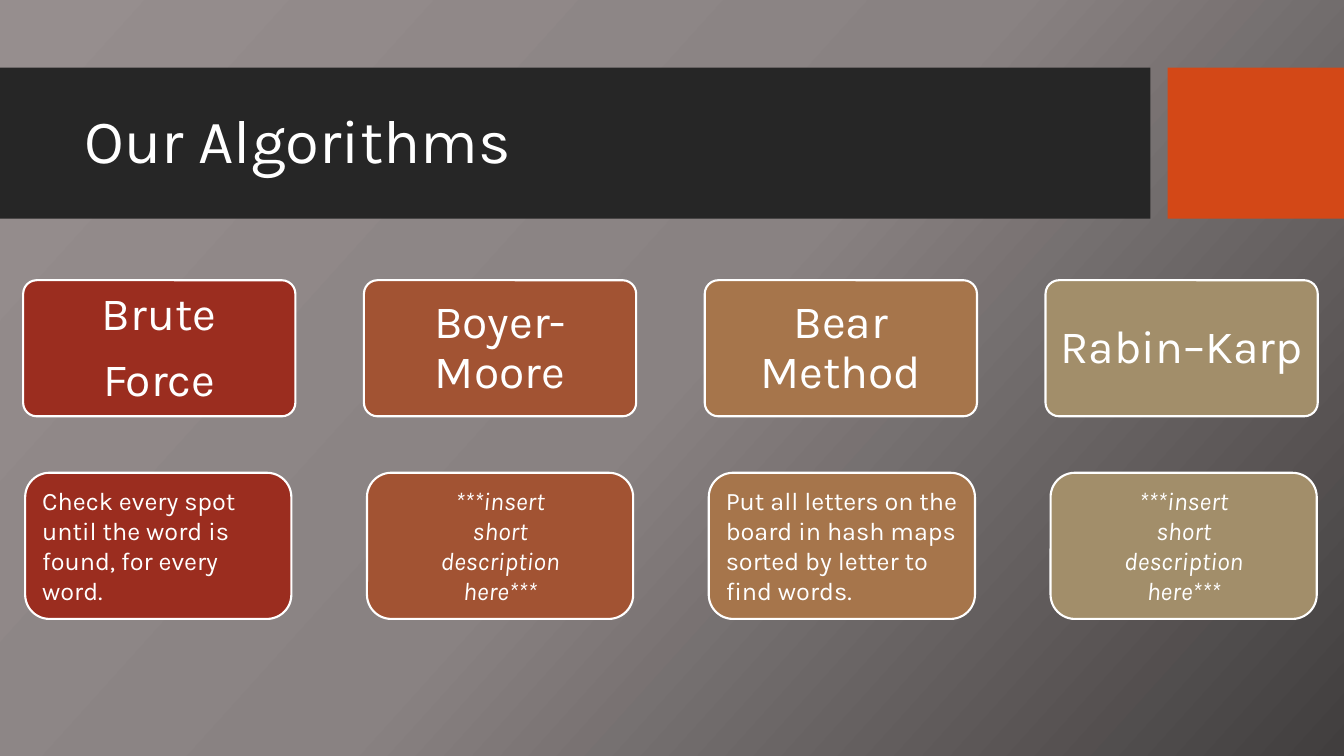
"""Build a slide that names four word-search algorithms and describes each."""
from copy import deepcopy

from pptx import Presentation
from pptx.dml.color import RGBColor
from pptx.enum.shapes import MSO_SHAPE
from pptx.enum.text import MSO_ANCHOR, MSO_AUTO_SIZE, PP_ALIGN
from pptx.util import Inches, Pt


def tint(hue):
    return RGBColor.from_string(hue)


def panel(kind, left, top, width, height, hue, lines=(), size=18, align=PP_ALIGN.LEFT):
    box = slide.shapes.add_shape(kind, *map(Inches, (left, top, width, height)))
    box.shadow.inherit = False
    box.fill.solid()
    box.fill.fore_color.rgb = tint(hue)
    if kind == MSO_SHAPE.RECTANGLE:
        box.line.fill.background()
    else:
        box.line.color.rgb = tint("FFFFFF")
        box.line.width = Pt(1.5)
    frame = box.text_frame
    frame.word_wrap = True
    for n, line in enumerate(lines):
        para = frame.add_paragraph() if n else frame.paragraphs[0]
        para.text = line
        para.alignment = align
        para.font.name = "Karla"
        para.font.size = Pt(size)
        para.font.color.rgb = tint("FFFFFF")
    return box


deck = Presentation()
deck.slide_width, deck.slide_height = Inches(13.33), Inches(7.5)
slide = deck.slides.add_slide(deck.slide_layouts[6])

back = slide.background.fill
back.gradient()
back.gradient_angle = 318
stops = slide.element.xpath(".//a:gsLst")[0]
stops.insert(1, deepcopy(stops[0]))
for stop, place, hue in zip(back.gradient_stops, (0, 0.5, 1), ("968E8E", "898282", "413E3E")):
    stop.position = place
    stop.color.rgb = tint(hue)

title = panel(MSO_SHAPE.RECTANGLE, 0, 0.67, 11.41, 1.5, "262626", ["Our Algorithms"], 44)
title.text_frame.margin_left = Inches(0.84)
title.text_frame.paragraphs[0].line_spacing = 0.9
panel(MSO_SHAPE.RECTANGLE, 11.58, 0.67, 1.75, 1.5, "D34817")

draft = ["***insert", "short", "description", "here***"]
cards = [
    ("9B2D1F", ["Brute", "Force"],
     ["Check every spot until the word is found, for every word."]),
    ("A25333", ["Boyer-Moore"], draft),
    ("A6754B", ["Bear Method"],
     ["Put all letters on the board in hash maps sorted by letter to find words."]),
    ("A28E6A", ["Rabin–Karp"], draft),
]
for col, (hue, name, about) in enumerate(cards):
    head = panel(MSO_SHAPE.ROUNDED_RECTANGLE, 0.23 + 3.38 * col, 2.78, 2.7, 1.35,
                 hue, name, 33, PP_ALIGN.CENTER)
    head.adjustments[0] = 0.1
    frame = head.text_frame
    frame.margin_left = frame.margin_right = Inches(0.07)
    for para in frame.paragraphs:
        para.line_spacing = 0.9
        para.space_after = Pt(11.5)

    align = PP_ALIGN.CENTER if about is draft else PP_ALIGN.LEFT
    body = panel(MSO_SHAPE.ROUNDED_RECTANGLE, 0.25 + 3.39 * col, 4.69, 2.64, 1.45,
                 hue, about, 18, align)
    frame = body.text_frame
    frame.vertical_anchor = MSO_ANCHOR.TOP
    frame.auto_size = MSO_AUTO_SIZE.SHAPE_TO_FIT_TEXT
    for para in frame.paragraphs:
        para.font.italic = about is draft

deck.save("out.pptx")
